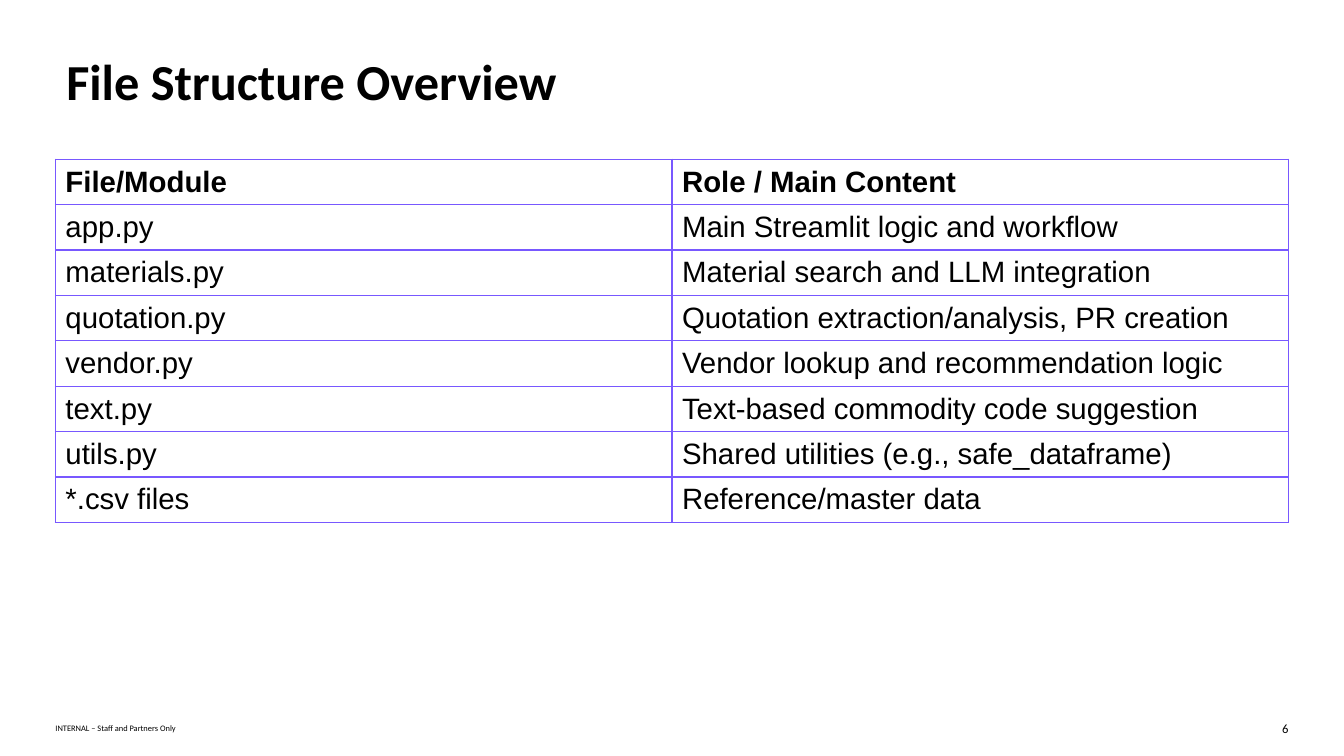
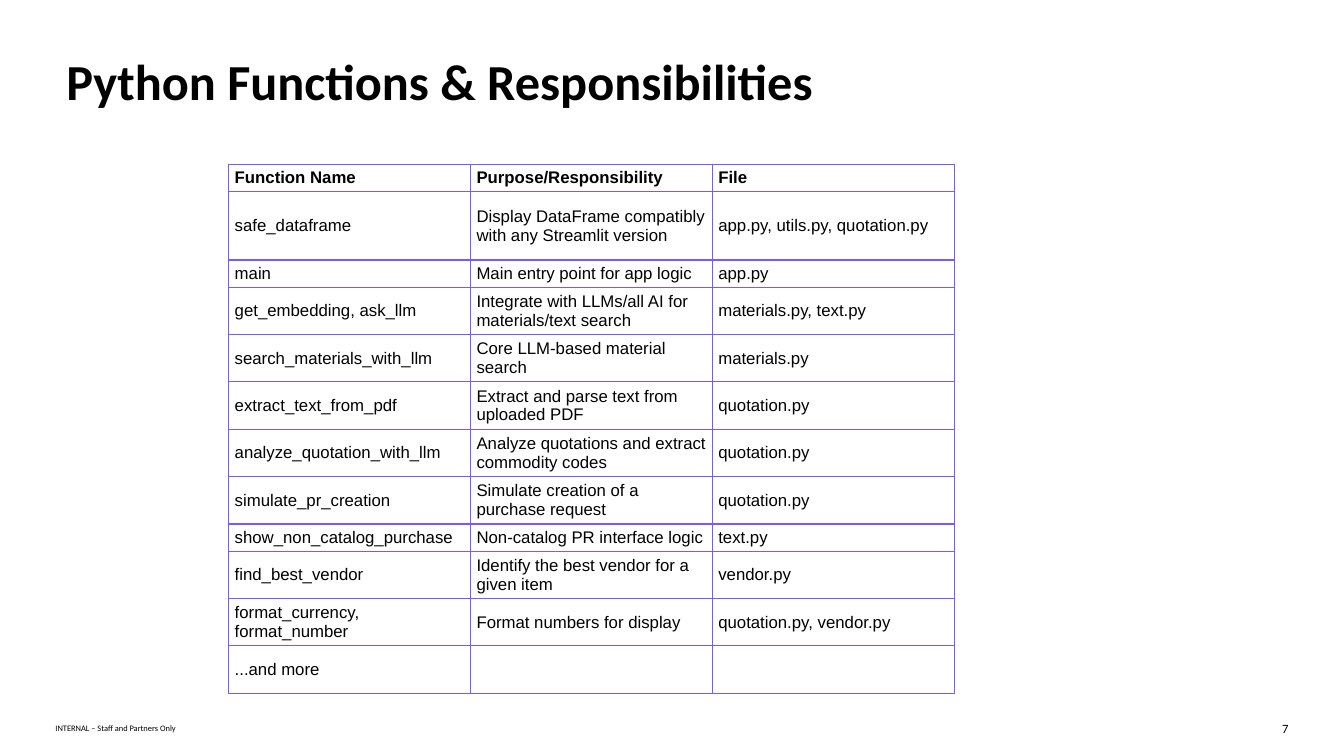
"""Build two slides that list the files and functions of an application."""
from lxml import etree
from pptx import Presentation
from pptx.dml.color import RGBColor
from pptx.enum.text import MSO_ANCHOR, PP_ALIGN
from pptx.oxml.ns import qn
from pptx.util import Inches, Pt

TOP, MIDDLE = MSO_ANCHOR.TOP, MSO_ANCHOR.MIDDLE
LEFT, RIGHT = PP_ALIGN.LEFT, PP_ALIGN.RIGHT
COLORS = {"text": "000000", "border": "7858FF"}
HEADING_FONT, TABLE_FONT = "Calibri", "Arial"
FOOTER = "INTERNAL – Staff and Partners Only"
BORDER_WIDTH = Pt(1)

FILES = [
    ("File/Module", "Role / Main Content"),
    ("app.py", "Main Streamlit logic and workflow"),
    ("materials.py", "Material search and LLM integration"),
    ("quotation.py", "Quotation extraction/analysis, PR creation"),
    ("vendor.py", "Vendor lookup and recommendation logic"),
    ("text.py", "Text-based commodity code suggestion"),
    ("utils.py", "Shared utilities (e.g., safe_dataframe)"),
    ("*.csv files", "Reference/master data"),
]
FUNCTIONS = [
    ("Function Name", "Purpose/Responsibility", "File"),
    ("safe_dataframe", "Display DataFrame compatibly with any Streamlit version",
     "app.py, utils.py, quotation.py"),
    ("main", "Main entry point for app logic", "app.py"),
    ("get_embedding, ask_llm", "Integrate with LLMs/all AI for materials/text search",
     "materials.py, text.py"),
    ("search_materials_with_llm", "Core LLM-based material search", "materials.py"),
    ("extract_text_from_pdf", "Extract and parse text from uploaded PDF", "quotation.py"),
    ("analyze_quotation_with_llm", "Analyze quotations and extract commodity codes",
     "quotation.py"),
    ("simulate_pr_creation", "Simulate creation of a purchase request", "quotation.py"),
    ("show_non_catalog_purchase", "Non-catalog PR interface logic", "text.py"),
    ("find_best_vendor", "Identify the best vendor for a given item", "vendor.py"),
    ("format_currency, format_number", "Format numbers for display",
     "quotation.py, vendor.py"),
    ("...and more", "", ""),
]
SHORT, NORMAL, TALL = 0.27, 0.47, 0.68
FUNCTION_HEIGHTS = [SHORT, TALL, SHORT] + [NORMAL] * 5 + [SHORT] + [NORMAL] * 3


def style_text(frame, font, size, bold=False, align=LEFT):
    for para in frame.paragraphs:
        para.alignment = align
        for span in para.runs:
            span.font.name = font
            span.font.size = Pt(size)
            span.font.bold = bold
            span.font.color.rgb = RGBColor.from_string(COLORS["text"])


def set_margins(target, horizontal, vertical):
    target.margin_left = target.margin_right = Inches(horizontal)
    target.margin_top = target.margin_bottom = Inches(vertical)


def add_text(page, text, area, size, margins=(0, 0), bold=False,
             align=LEFT, anchor=TOP, wrap=True):
    box = page.shapes.add_textbox(*map(Inches, area))
    frame = box.text_frame
    frame.text = text
    frame.word_wrap = wrap
    frame.vertical_anchor = anchor
    set_margins(frame, *margins)
    style_text(frame, HEADING_FONT, size, bold, align)


def add_borders(cell):
    properties = cell._tc.get_or_add_tcPr()
    for side in ("lnL", "lnR", "lnT", "lnB"):
        line = etree.SubElement(properties, qn(f"a:{side}"), w=str(BORDER_WIDTH))
        fill = etree.SubElement(line, qn("a:solidFill"))
        etree.SubElement(fill, qn("a:srgbClr"), val=COLORS["border"])


def add_grid(page, rows, left, top, width, heights, size, margins):
    column_count = len(rows[0])
    frame = page.shapes.add_table(len(rows), column_count, Inches(left), Inches(top),
                                  Inches(width), Inches(sum(heights)))
    table = frame.table
    table.first_row = table.horz_banding = False
    for column in table.columns:
        column.width = Inches(width / column_count)
    for index, (texts, height) in enumerate(zip(rows, heights)):
        table.rows[index].height = Inches(height)
        for cell, text in zip(table.rows[index].cells, texts):
            cell.text_frame.text = text
            cell.vertical_anchor = MIDDLE
            set_margins(cell, *margins)
            style_text(cell.text_frame, TABLE_FONT, size, bold=index == 0)
            add_borders(cell)
            cell.fill.background()


def add_page(deck, title, number):
    page = deck.slides.add_slide(deck.slide_layouts[6])
    add_text(page, str(number), (12.63, 7.15, 0.16, 0.15), 9, align=RIGHT, wrap=False)
    add_text(page, FOOTER, (0.55, 7.15, 11.11, 0.15), 6, anchor=MIDDLE)
    add_text(page, title, (0.56, 0.45, 12.23, 0.61), 36, margins=(0.1, 0.05), bold=True)
    return page


def main():
    deck = Presentation()
    deck.slide_width, deck.slide_height = Inches(13.34), Inches(7.5)
    page = add_page(deck, "File Structure Overview", 6)
    add_grid(page, FILES, 0.55, 1.58, 12.24, [0.45] * len(FILES), 21, (0.1, 0.05))
    page = add_page(deck, "Python Functions & Responsibilities", 7)
    add_grid(page, FUNCTIONS, 2.27, 1.63, 7.2, FUNCTION_HEIGHTS, 12, (0.06, 0.03))
    deck.save("out.pptx")


if __name__ == "__main__":
    main()
